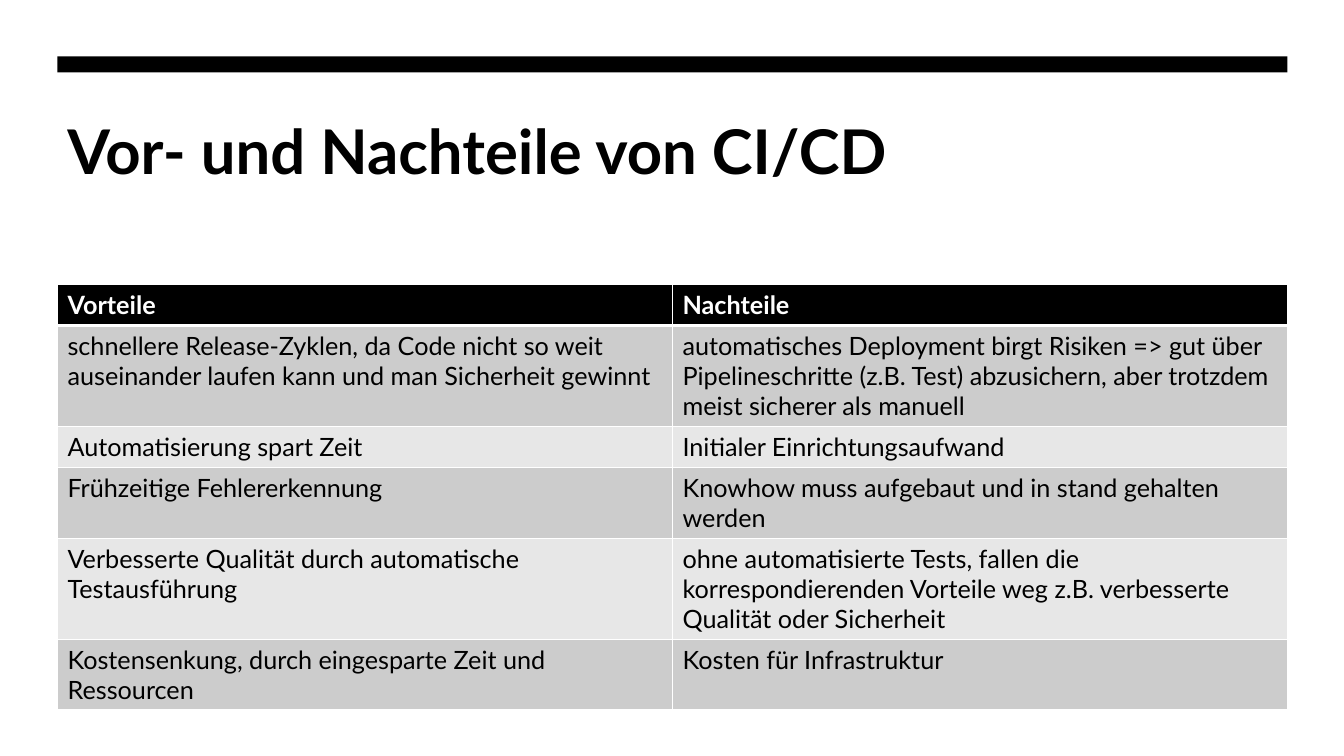
"""Build the slide comparing advantages and disadvantages of CI/CD."""
import pptx
import pptx.dml.color
import pptx.enum.shapes
import pptx.enum.text
import pptx.oxml
import pptx.oxml.ns
import pptx.util

Inches = pptx.util.Inches

HEADING = "Vor- und Nachteile von CI/CD"
COMPARISON = [
    ("Vorteile", "Nachteile"),
    ("schnellere Release-Zyklen, da Code nicht so weit auseinander laufen kann und man Sicherheit gewinnt",
     "automatisches Deployment birgt Risiken => gut über Pipelineschritte (z.B. Test) abzusichern, "
     "aber trotzdem meist sicherer als manuell"),
    ("Automatisierung spart Zeit", "Initialer Einrichtungsaufwand"),
    ("Frühzeitige Fehlererkennung", "Knowhow muss aufgebaut und in stand gehalten werden"),
    ("Verbesserte Qualität durch automatische Testausführung",
     "ohne automatisierte Tests, fallen die korrespondierenden Vorteile weg "
     "z.B. verbesserte Qualität oder Sicherheit"),
    ("Kostensenkung, durch eingesparte Zeit und Ressourcen", "Kosten für Infrastruktur"),
]
COLORS = {"ink": "000000", "paper": "FFFFFF", "odd": "CCCCCC", "even": "E7E7E7"}
FORMATS = {
    "heading": {"name": "Lato", "size": pptx.util.Pt(44), "bold": True},
    "header": {"name": "Lato", "size": pptx.util.Pt(18), "bold": True},
    "body": {"name": "Lato", "size": pptx.util.Pt(18), "bold": False},
}
LEFT, WIDTH, ROW_HEIGHT = 0.57, 12.2, 0.41


def rgb(color):
    return pptx.dml.color.RGBColor.from_string(COLORS[color])


def paint(part, color):
    part.fill.solid()
    part.fill.fore_color.rgb = rgb(color)


def write(frame, text, style, color):
    frame.word_wrap = True
    run = frame.paragraphs[0].add_run()
    run.text = text
    for attribute, value in FORMATS[style].items():
        setattr(run.font, attribute, value)
    run.font.color.rgb = rgb(color)


def add_borders(cell, widths):
    properties = cell._tc.get_or_add_tcPr()
    for side, points in widths.items():
        properties.append(pptx.oxml.parse_xml(
            f'<a:ln{side} {pptx.oxml.ns.nsdecls("a")} w="{pptx.util.Pt(points)}"><a:solidFill>'
            f'<a:srgbClr val="{COLORS["paper"]}"/></a:solidFill></a:ln{side}>'))


def main():
    deck = pptx.Presentation()
    deck.slide_width, deck.slide_height = Inches(13.33), Inches(7.5)
    slide = deck.slides.add_slide(deck.slide_layouts[6])

    bar = slide.shapes.add_shape(pptx.enum.shapes.MSO_SHAPE.RECTANGLE,
                                 Inches(LEFT), Inches(0.56), Inches(WIDTH), Inches(0.16))
    bar.shadow.inherit = False
    paint(bar, "ink")
    bar.line.fill.background()

    heading = slide.shapes.add_textbox(Inches(LEFT), Inches(1.07), Inches(WIDTH), Inches(1.6))
    heading.text_frame.vertical_anchor = pptx.enum.text.MSO_ANCHOR.TOP
    write(heading.text_frame, HEADING, "heading", "ink")

    comparison = slide.shapes.add_table(
        len(COMPARISON), len(COMPARISON[0]), Inches(LEFT), Inches(2.82),
        Inches(WIDTH), Inches(ROW_HEIGHT * len(COMPARISON))).table
    for row, entries in enumerate(COMPARISON):
        is_header = row == 0
        band = "ink" if is_header else "odd" if row % 2 else "even"
        for column, entry in enumerate(entries):
            cell = comparison.cell(row, column)
            add_borders(cell, {"L": 1, "R": 1, "T": 3 if row == 1 else 1, "B": 3 if is_header else 1})
            paint(cell, band)
            write(cell.text_frame, entry, "header" if is_header else "body",
                  "paper" if is_header else "ink")

    deck.save("out.pptx")


if __name__ == "__main__":
    main()
